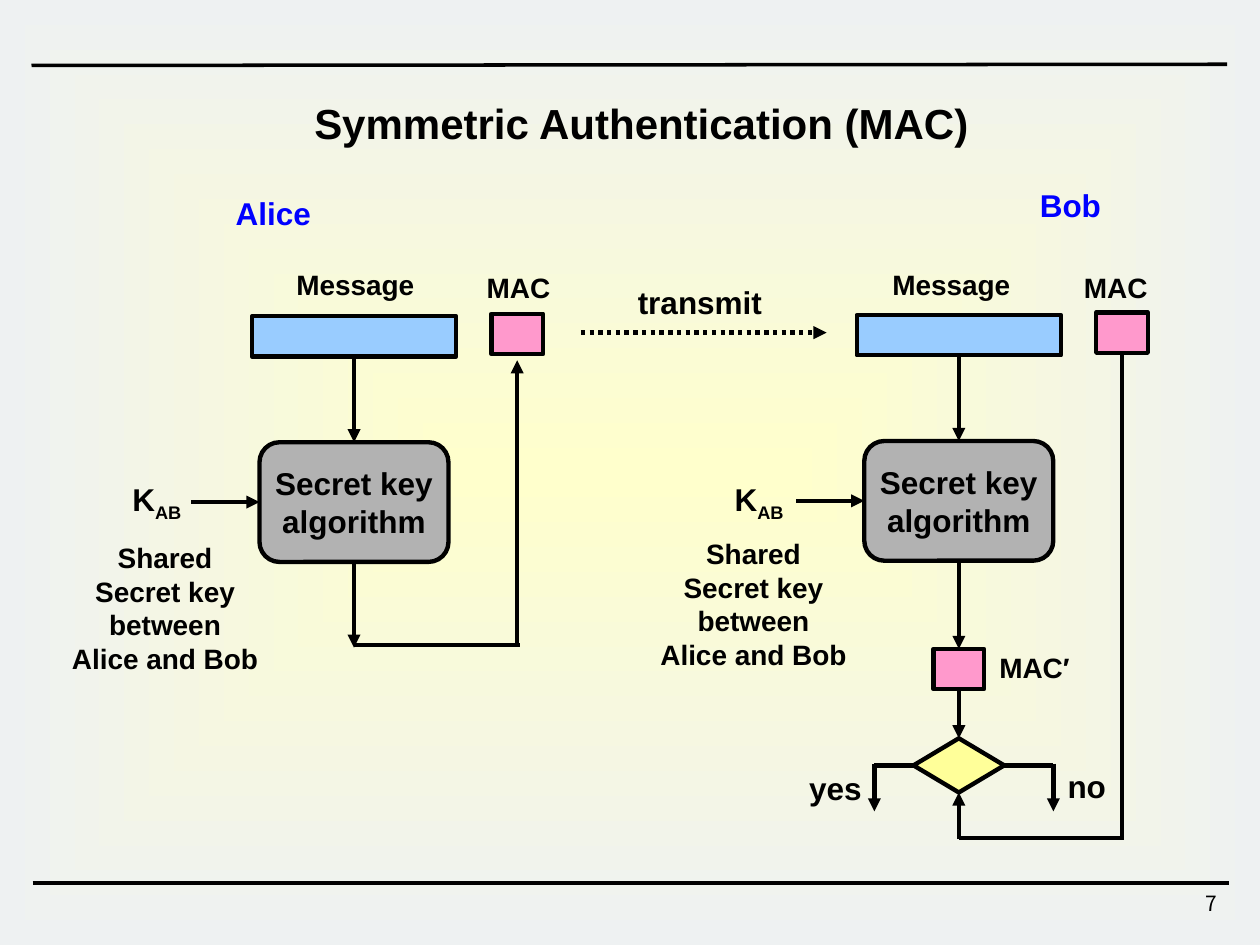
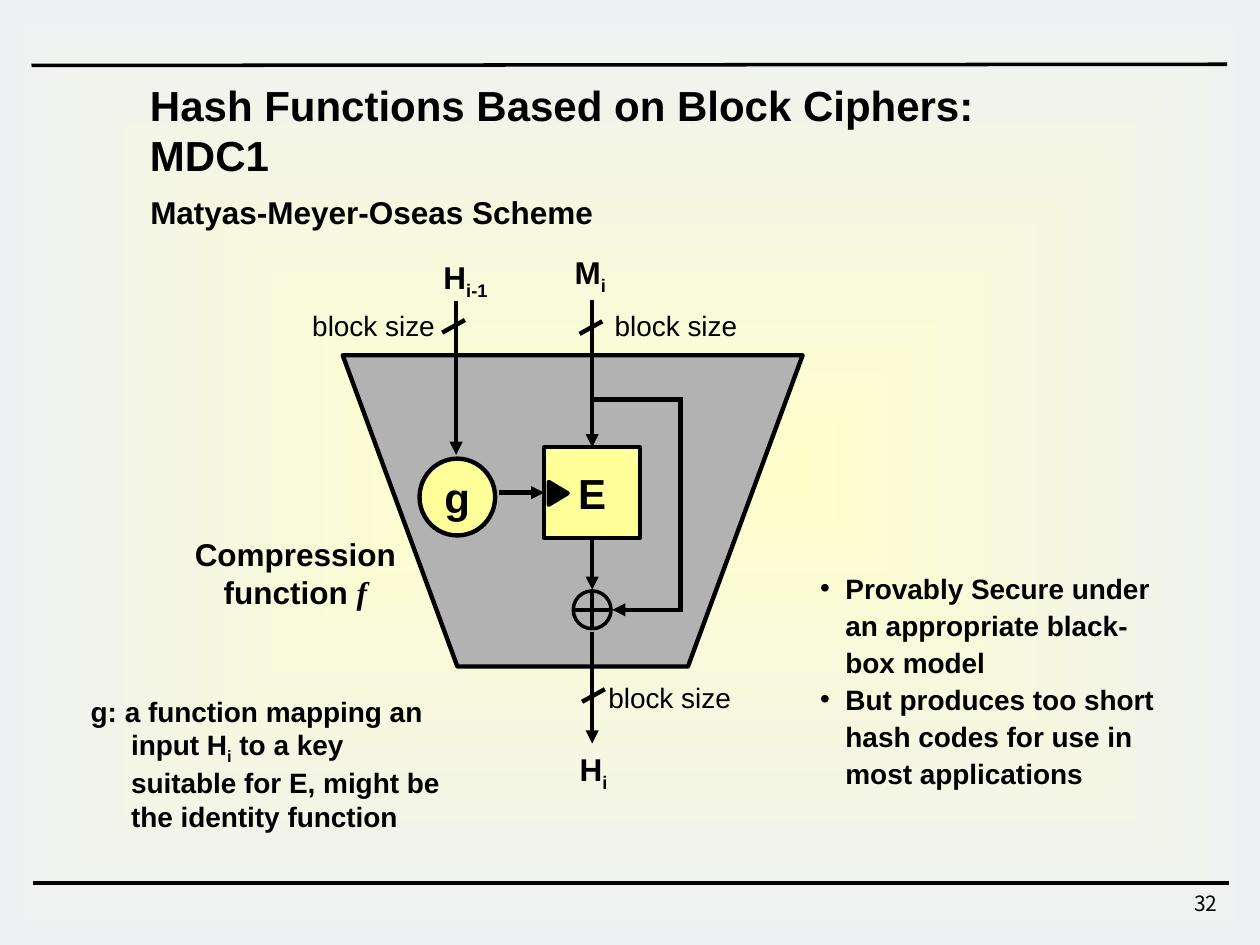
from lxml import etree
from pptx import Presentation
from pptx.dml.color import RGBColor
from pptx.enum.dml import MSO_LINE
from pptx.enum.shapes import MSO_CONNECTOR, MSO_SHAPE
from pptx.enum.text import MSO_ANCHOR, MSO_AUTO_SIZE, PP_ALIGN
from pptx.oxml.ns import qn
from pptx.util import Inches, Pt

STRAIGHT = MSO_CONNECTOR.STRAIGHT
DOTTED = MSO_LINE.ROUND_DOT
RECTANGLE, ROUNDED = MSO_SHAPE.RECTANGLE, MSO_SHAPE.ROUNDED_RECTANGLE
DIAMOND, OVAL, TRIANGLE = MSO_SHAPE.DIAMOND, MSO_SHAPE.OVAL, MSO_SHAPE.ISOSCELES_TRIANGLE
LEFT, CENTER, RIGHT = PP_ALIGN.LEFT, PP_ALIGN.CENTER, PP_ALIGN.RIGHT
TOP, MIDDLE = MSO_ANCHOR.TOP, MSO_ANCHOR.MIDDLE
SITE_TOP, SITE_LEFT, SITE_BOTTOM, SITE_RIGHT = range(4)

BLACK, BLUE, GRAY = "000000", "0000FF", "B2B2B2"
SKY, PINK, YELLOW = "99CCFF", "FF99CC", "FFFF99"
CENTER_GLOW, EDGE = "FFFFCC", "EEF1F2"
color_of = RGBColor.from_string

presentation = Presentation()
presentation.slide_width, presentation.slide_height = Inches(10), Inches(7.5)
# The slide is a grid of 100 columns by 75 rows
CELL = presentation.slide_width // 100


def write(shape, text, size=18, bold=True, color=BLACK, font="Arial", align=CENTER,
          anchor=TOP, wrap=False, margins=(0, 0), spacing=1, hanging=0):
    """Fill a shape with text: newlines split paragraphs, bars enclose subscripts."""
    frame = shape.text_frame
    frame.auto_size, frame.word_wrap = MSO_AUTO_SIZE.NONE, wrap
    frame.vertical_anchor = anchor
    frame.margin_left = frame.margin_right = Inches(margins[0])
    frame.margin_top = frame.margin_bottom = Inches(margins[1])
    for index, line in enumerate(text.split("\n")):
        paragraph = frame.add_paragraph() if index else frame.paragraphs[0]
        paragraph.alignment, paragraph.line_spacing = align, spacing
        paragraph.space_before = Pt(0)
        if hanging:
            properties = paragraph._p.get_or_add_pPr()
            properties.set("marL", str(Inches(hanging)))
            properties.set("indent", str(-Inches(hanging)))
        for part, piece in enumerate(line.split("|")):
            if piece:
                run = paragraph.add_run()
                run.text = piece
                run.font.size, run.font.bold, run.font.name = Pt(size), bold, font
                run.font.color.rgb = color_of(color)
                if part % 2:
                    run.font._element.set("baseline", "-25000")


def draw_line(slide, ends, width=2.5, arrow=True, dash=None, begin=None, end=None):
    """Draw a line between grid points; begin and end are (shape, site) joints."""
    line = slide.shapes.add_connector(STRAIGHT, *[round(CELL * value) for value in ends])
    line.line.color.rgb, line.line.width = color_of(BLACK), Pt(width)
    if dash:
        line.line.dash_style = dash
    if begin:
        line.begin_connect(*begin)
    if end:
        line.end_connect(*end)
    properties = line._element.spPr
    if arrow:
        etree.SubElement(properties.find(qn("a:ln")), qn("a:tailEnd"), type="triangle")
    etree.SubElement(properties, qn("a:effectLst"))


# Shared background on the master: a glow from the middle to the edges
master = presentation.slide_master
background = master.background.fill
background.gradient()
for stop, color in zip(background.gradient_stops, (CENTER_GLOW, EDGE)):
    stop.color.rgb = color_of(color)
gradient = master._element.find(".//" + qn("a:gradFill"))
gradient.remove(gradient.find(qn("a:lin")))
glow = etree.SubElement(gradient, qn("a:path"), {"path": "rect"})
etree.SubElement(glow, qn("a:fillToRect"), {side: "50000" for side in "ltrb"})

# Slides with their titles, rules and page numbers
slides = []
for layout, title, title_place, align, number in (
    (5, "Symmetric Authentication (MAC)", (8.4, 6.4, 85, 6.6), CENTER, "7"),
    (1, "Hash Functions Based on Block Ciphers: MDC1", (10.9, 7.8, 77.7, 5), LEFT, "32"),
):
    slide = presentation.slides.add_slide(presentation.slide_layouts[layout])
    slides.append(slide)
    heading = slide.shapes.title
    heading.left, heading.top, heading.width, heading.height = [
        round(CELL * value) for value in title_place]
    write(heading, title, size=24, align=align, anchor=MIDDLE, margins=(0.1, 0.05))
    draw_line(slide, (2.5, 5.2, 97.4, 5.1), width=2, arrow=False)
    draw_line(slide, (2.6, 70.1, 97.5, 70.1), width=2, arrow=False)
    page = slide.shapes.add_textbox(
        *[round(CELL * value) for value in (76.8, 70.2, 20.8, 3.3)])
    write(page, number, size=12, bold=False, font="Noto Sans CJK KR",
          align=RIGHT, margins=(0.1, 0.05))
mac_slide, hash_slide = slides

# Trapezoid of the compression function
corners = [(round(CELL * x), round(CELL * y))
           for x, y in ((27.2, 28.2), (36.3, 52.9), (54.6, 52.9), (63.7, 28.2))]
builder = hash_slide.shapes.build_freeform(*corners[0])
builder.add_line_segments(corners[1:], close=True)
trapezoid = builder.convert_to_shape()
trapezoid.shadow.inherit = False
trapezoid.fill.solid()
trapezoid.fill.fore_color.rgb = color_of(GRAY)
trapezoid.line.color.rgb, trapezoid.line.width = color_of(BLACK), Pt(2.5)

# Boxes of both diagrams: Bob's side repeats Alice's, moved right
BOB_RIGHT, BOB_DOWN = 48, -0.1
sides = {"Alice": (0, 0), "Bob": (BOB_RIGHT, BOB_DOWN)}
boxes = []
for person, (right, down) in sides.items():
    boxes += [
        (mac_slide, person + " message", RECTANGLE, (20 + right, 25.1 + down, 16.2, 3.2), SKY, ""),
        (mac_slide, person + " MAC", RECTANGLE, (39 + right, 24.9 + down, 4.1, 3.2), PINK, ""),
        (mac_slide, person + " algorithm", ROUNDED, (20.6 + right, 35.1 + down, 15, 9.5), GRAY,
         "Secret key\nalgorithm"),
    ]
boxes += [
    (mac_slide, "MAC check", RECTANGLE, (74.1, 51.5, 4, 3.2), PINK, ""),
    (mac_slide, "decision", DIAMOND, (72.5, 58.6, 7.2, 4.3), YELLOW, ""),
    (hash_slide, "E", RECTANGLE, (43.2, 35.5, 7.6, 7.2), YELLOW, "E"),
    (hash_slide, "g", OVAL, (33.3, 36.4, 6, 6.1), YELLOW, "g"),
    (hash_slide, "XOR", OVAL, (45.5, 46.9, 3, 3), None, ""),
    (hash_slide, "key input", TRIANGLE, (43.4, 38.4, 1.8, 1.5), BLACK, ""),
]
shapes = {}
for slide, name, kind, place, fill, text in boxes:
    shape = shapes[name] = slide.shapes.add_shape(kind, *[round(CELL * value) for value in place])
    shape.shadow.inherit = False
    if fill:
        shape.fill.solid()
        shape.fill.fore_color.rgb = color_of(fill)
    else:
        shape.fill.background()
    shape.line.color.rgb = color_of(BLACK)
    shape.line.width = Pt(2.5 if fill else 2)
    if text:
        write(shape, text, size=24 if slide is hash_slide else 18, anchor=MIDDLE)
shapes["key input"].rotation = 90

# Arrows on both sides of the MAC diagram
for person, (right, down) in sides.items():
    message, algorithm = shapes[person + " message"], shapes[person + " algorithm"]
    draw_line(mac_slide, (28.1 + right, 28.3, 28.1 + right, 35.1),
              begin=(message, SITE_BOTTOM), end=(algorithm, SITE_TOP))
    key_row = 39.85 + down
    draw_line(mac_slide, (15.2 + right, key_row, 20.6 + right, key_row),
              end=(algorithm, SITE_LEFT))

# Alice's MAC output and the transmission
draw_line(mac_slide, (28.1, 44.6, 28.1, 51.4), begin=(shapes["Alice algorithm"], SITE_BOTTOM))
draw_line(mac_slide, (28.1, 51.2, 41.25, 51.2), arrow=False)
draw_line(mac_slide, (41.05, 51.2, 41.05, 28.6))
draw_line(mac_slide, (46.1, 26.4, 65.6, 26.4), dash=DOTTED)

# Bob's comparison of the two MACs
decision, mac_check = shapes["decision"], shapes["MAC check"]
draw_line(mac_slide, (76.1, 44.5, 76.1, 51.5),
          begin=(shapes["Bob algorithm"], SITE_BOTTOM), end=(mac_check, SITE_TOP))
draw_line(mac_slide, (76.1, 54.7, 76.1, 58.6),
          begin=(mac_check, SITE_BOTTOM), end=(decision, SITE_TOP))
draw_line(mac_slide, (89.05, 28, 89.05, 66.5), arrow=False,
          begin=(shapes["Bob MAC"], SITE_BOTTOM))
draw_line(mac_slide, (76.1, 66.5, 89.2, 66.5), arrow=False)
draw_line(mac_slide, (76.1, 66.6, 76.1, 62.9), end=(decision, SITE_BOTTOM))
for column, site in ((69.4, SITE_LEFT), (83.6, SITE_RIGHT)):
    draw_line(mac_slide, (column, 60.75, 76.1, 60.75), arrow=False, end=(decision, site))
    draw_line(mac_slide, (column, 60.6, column, 64.4))

# Flow through the compression function
cipher = shapes["E"]
draw_line(hash_slide, (45.5, 48.4, 48.5, 48.4), width=2, arrow=False)
draw_line(hash_slide, (47, 46.9, 47, 49.9), width=2, arrow=False)
draw_line(hash_slide, (47, 42.7, 47, 46.8), begin=(cipher, SITE_BOTTOM))
draw_line(hash_slide, (47, 50.2, 47, 59))
draw_line(hash_slide, (47, 23.8, 47, 35.5), end=(cipher, SITE_TOP))
draw_line(hash_slide, (36.2, 23.9, 36.2, 36.1))
draw_line(hash_slide, (39.6, 39.1, 43.2, 39.1), end=(cipher, SITE_LEFT))
draw_line(hash_slide, (47, 31.7, 54, 31.7), arrow=False)
draw_line(hash_slide, (54, 31.5, 54, 48.6), arrow=False)
draw_line(hash_slide, (54, 48.4, 48.6, 48.4))
for column, row in ((35.1, 26.4), (46, 26.5), (46.2, 55.7)):
    draw_line(hash_slide, (column, row, column + 1.8, row - 1), arrow=False)

# Labels
SHARED_KEY = "Shared\nSecret key\nbetween\nAlice and Bob"
small, plain, name_format = {"size": 16}, {"size": 16, "bold": False}, {"color": BLUE}
note = {"size": 16, "align": LEFT, "wrap": True, "hanging": 0.32}
labels = [
    (mac_slide, "Alice", (18.7, 15.4, 6, 3), name_format),
    (mac_slide, "Bob", (82.5, 14.8, 4.9, 3), name_format),
    (mac_slide, "transmit", (50.6, 22.5, 9.9, 3), {}),
    (mac_slide, "MAC′", (79.2, 51.6, 5.8, 2.7), small),
    (mac_slide, "yes", (64.2, 61, 4.2, 3), {}),
    (mac_slide, "no", (84.7, 60.9, 3.1, 3), {}),
    (hash_slide, "Matyas-Meyer-Oseas Scheme", (11.9, 15.3, 35.2, 3), {}),
    (hash_slide, "g: a function mapping an input H|i| to a key suitable for E, "
     "might be the identity function", (7.2, 55.1, 28.1, 11), note),
    (hash_slide, "H|i", (46, 59.5, 2.2, 3.4), {}),
    (hash_slide, "M|i", (45.6, 20.1, 2.5, 3.4), {}),
    (hash_slide, "H|i-1", (34.3, 20.5, 5.3, 3.4), {}),
]
for key_column, shared, message_column, mac_column in (
    (10.5, (5.7, 42.9), 23.5, 38.6), (58.3, (52.4, 42.6), 70.8, 86),
):
    labels += [
        (mac_slide, "K|AB", (key_column, 38.1, 3.9, 3.4), {}),
        (mac_slide, SHARED_KEY, (*shared, 14.8, 10.7), small),
        (mac_slide, "Message", (message_column, 21.2, 9.4, 2.7), small),
        (mac_slide, "MAC", (mac_column, 21.5, 5.1, 2.7), small),
    ]
for column, row in ((24.8, 24.5), (48.8, 24.5), (48.3, 54)):
    labels.append((hash_slide, "block size", (column, row, 9.7, 2.7), plain))
for slide, text, place, text_format in labels:
    box = slide.shapes.add_textbox(*[round(CELL * value) for value in place])
    write(box, text, **text_format)

# Name of the compression function, with an italic symbol
caption = hash_slide.shapes.add_textbox(
    *[round(CELL * value) for value in (15.1, 42.5, 16.7, 6)])
write(caption, "Compression\nfunction ")
symbol = caption.text_frame.paragraphs[1].add_run()
symbol.text = "f"
symbol.font.name, symbol.font.size = "Times New Roman", Pt(18)
symbol.font.bold = symbol.font.italic = True
symbol.font.color.rgb = color_of(BLACK)

# Remarks as a bulleted list
body = hash_slide.placeholders[1]
body.left, body.top, body.width, body.height = [
    round(CELL * value) for value in (65.1, 45.1, 28.1, 17.6)]
write(body, "Provably Secure under an appropriate black-box model\n"
      "But produces too short hash codes for use in most applications",
      size=16, align=LEFT, wrap=True, spacing=1.1, hanging=0.2)

presentation.save("out.pptx")
